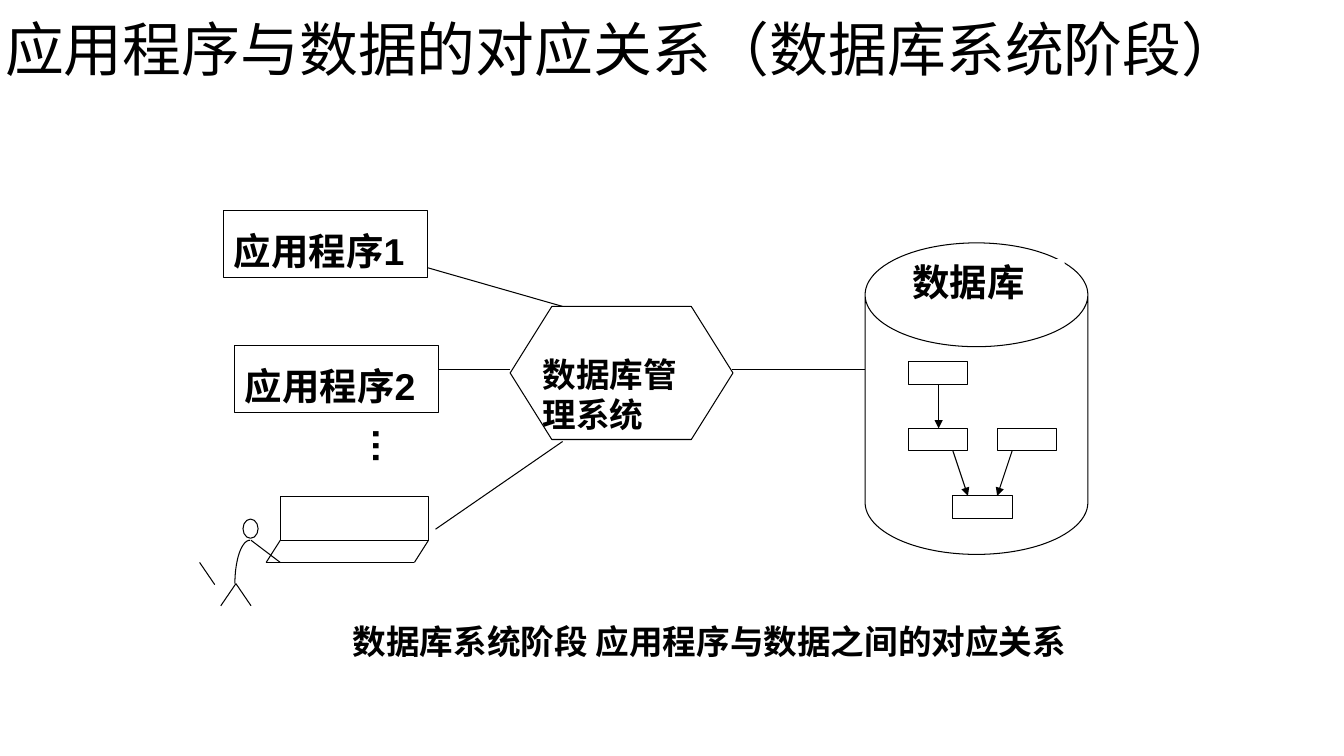
from math import cos, pi, sin

from pptx import Presentation
from pptx.dml.color import RGBColor
from pptx.enum.shapes import MSO_CONNECTOR, MSO_SHAPE as Preset
from pptx.enum.text import MSO_ANCHOR as Anchor, MSO_AUTO_SIZE as AutoSize, PP_ALIGN as Align
from pptx.oxml.ns import qn
from pptx.util import Inches, Pt

COLORS = {"ink": "000000", "paper": "FFFFFF"}
CJK_FONT = "Noto Sans CJK SC"


def color(name):
    """Return a palette colour."""
    return RGBColor.from_string(COLORS[name])


def add_child(parent, tag, **attributes):
    """Append an XML element with the given attributes."""
    child = parent.makeelement(qn(tag), attributes)
    parent.append(child)
    return child


def write(shape, text, size=24, font="Arial", bold=True, align=Align.LEFT,
          anchor=Anchor.TOP, insets=(0.1, 0.05, 0.1, 0.05), spacing=None, before=0):
    """Put formatted text into a shape and return its paragraph."""
    frame = shape.text_frame
    frame.word_wrap, frame.auto_size = True, AutoSize.NONE
    frame.vertical_anchor = anchor
    (frame.margin_left, frame.margin_top,
     frame.margin_right, frame.margin_bottom) = map(Inches, insets)
    paragraph = frame.paragraphs[0]
    paragraph.alignment, paragraph.line_spacing = align, spacing
    paragraph.space_before = Pt(before)
    run = paragraph.add_run()
    run.text = text
    run.font.size, run.font.name, run.font.bold = Pt(size), font, bold
    run.font.color.rgb = color("ink")
    add_child(run.font._element, "a:ea", typeface=CJK_FONT)
    return paragraph


class Diagram:
    """Holds the line style and the slide being drawn."""

    def __init__(self, slide, line_width=0.75):
        """Remember the slide and the outline width."""
        self.slide, self.line_width = slide, Pt(line_width)

    def outline(self, line):
        """Apply the common outline."""
        line.color.rgb, line.width = color("ink"), self.line_width

    def title(self, text, box):
        """Place and format the title placeholder."""
        heading = self.slide.shapes.title
        heading.left, heading.top, heading.width, heading.height = map(Inches, box)
        write(heading, text, size=42, font=CJK_FONT, bold=False,
              anchor=Anchor.MIDDLE, spacing=0.9)

    def shape(self, preset, box, adjust=(), outlined=True):
        """Add a white preset shape."""
        shape = self.slide.shapes.add_shape(preset, *map(Inches, box))
        shape.shadow.inherit = False
        shape.fill.solid()
        shape.fill.fore_color.rgb = color("paper")
        if outlined:
            self.outline(shape.line)
        else:
            shape.line.fill.background()
        for index, value in enumerate(adjust):
            shape.adjustments[index] = value
        return shape

    def line(self, start, end, arrow=False):
        """Add a straight line, with an arrowhead at its end if asked."""
        link = self.slide.shapes.add_connector(
            MSO_CONNECTOR.STRAIGHT, *map(Inches, (*start, *end)))
        self.outline(link.line)
        if arrow:
            add_child(link.line._get_or_add_ln(), "a:tailEnd", type="triangle")
        add_child(link._element.spPr, "a:effectLst")

    def curve(self, points):
        """Add an open unfilled outline through the points."""
        scaled = [(Inches(x), Inches(y)) for x, y in points]
        builder = self.slide.shapes.build_freeform(*scaled[0])
        builder.add_line_segments(scaled[1:], close=False)
        shape = builder.convert_to_shape()
        shape.shadow.inherit = False
        shape.fill.background()
        self.outline(shape.line)

    def text(self, text, box, **style):
        """Add a text box and return it with its paragraph."""
        label = self.slide.shapes.add_textbox(*map(Inches, box))
        return label, write(label, text, **style)


def draw_user(diagram):
    """Draw the person seated at a terminal."""
    for x, y, dx, dy in [(1.84, 6.03, 0, 0), (1.98, 5.58, 0.15, 0.22)]:
        diagram.line((x, y), (x + dx, y + dy))
    left, right, top, bottom, slant = 2.78, 4.25, 5.36, 5.58, 0.14
    diagram.shape(Preset.RECTANGLE, (left, 4.93, right - left, 0.43))
    for x in (left, right):
        diagram.line((x, top), (x - slant, bottom))
    diagram.line((left - slant, bottom), (right - slant, bottom))
    diagram.shape(Preset.FLOWCHART_CONNECTOR, (2.41, 5.15, 0.15, 0.19))
    angles = [pi / 2 * step / 24 for step in range(25)]
    diagram.curve([(2.48 - 0.15 * sin(a), 5.79 - 0.43 * cos(a)) for a in angles])
    for foot in (2.49, 2.19):
        diagram.line((2.34, 5.79), (foot, 6.01))
    diagram.line((2.49, top), (left, bottom))


def draw_database(diagram):
    """Draw the cylinder with its linked records."""
    diagram.shape(Preset.CAN, (8.58, 2.41, 2.21, 3.09), adjust=[0.466])
    for x, y in [(9.01, 3.59), (9.01, 4.25), (9.89, 4.25), (9.45, 4.92)]:
        diagram.shape(Preset.RECTANGLE, (x, y, 0.59, 0.22))
    for start, end in [((9.31, 3.81), (9.31, 4.25)),
                       ((9.45, 4.47), (9.6, 4.92)),
                       ((10.04, 4.47), (9.89, 4.92))]:
        diagram.line(start, end, arrow=True)


def main():
    """Build and save the slide."""
    deck = Presentation()
    deck.slide_width, deck.slide_height = Inches(13.33), Inches(7.5)
    diagram = Diagram(deck.slides.add_slide(deck.slide_layouts[5]))
    diagram.title("应用程序与数据的对应关系（数据库系统阶段）", (-0.05, 0.21, 13.65, 0.62))

    draw_user(diagram)
    manager = diagram.shape(Preset.HEXAGON, (5.06, 3.04, 2.21, 1.32), adjust=[0.313, 1.155])
    write(manager, "数据库管理系统", insets=(0, 0.28, 0, 0.05))
    draw_database(diagram)

    for start, end in [((7.26, 3.67), (8.58, 3.67)), ((4.22, 2.65), (5.58, 3.04)),
                       ((4.32, 3.67), (5.06, 3.67)), ((4.32, 5.25), (5.58, 4.38))]:
        diagram.line(start, end)

    for number, (x, y) in enumerate([(2.22, 2.09), (2.33, 3.43)], start=1):
        program = diagram.shape(Preset.RECTANGLE, (x, y, 2.02, 0.66))
        write(program, f"应用程序{number}", size=26.7, align=Align.JUSTIFY,
              insets=(0.1, 0.17, 0.1, 0.05))
    database_name = diagram.shape(Preset.RECTANGLE, (9.05, 2.57, 1.51, 0.44), outlined=False)
    write(database_name, "数据库", size=26.7, insets=(0, 0, 0, 0))

    more_programs, _ = diagram.text("…", (3.47, 4.14, 0.65, 0.92), size=26.7, before=6)
    more_programs.text_frame._txBody.bodyPr.set("vert", "eaVert")
    _, caption = diagram.text("数据库系统阶段 应用程序与数据之间的对应关系", (3.4, 6.11, 7.49, 0.5))
    hanging = Inches(0.38)
    caption._p.get_or_add_pPr().set("marL", str(hanging))
    caption._p.get_or_add_pPr().set("indent", str(-hanging))

    deck.save("out.pptx")


main()
